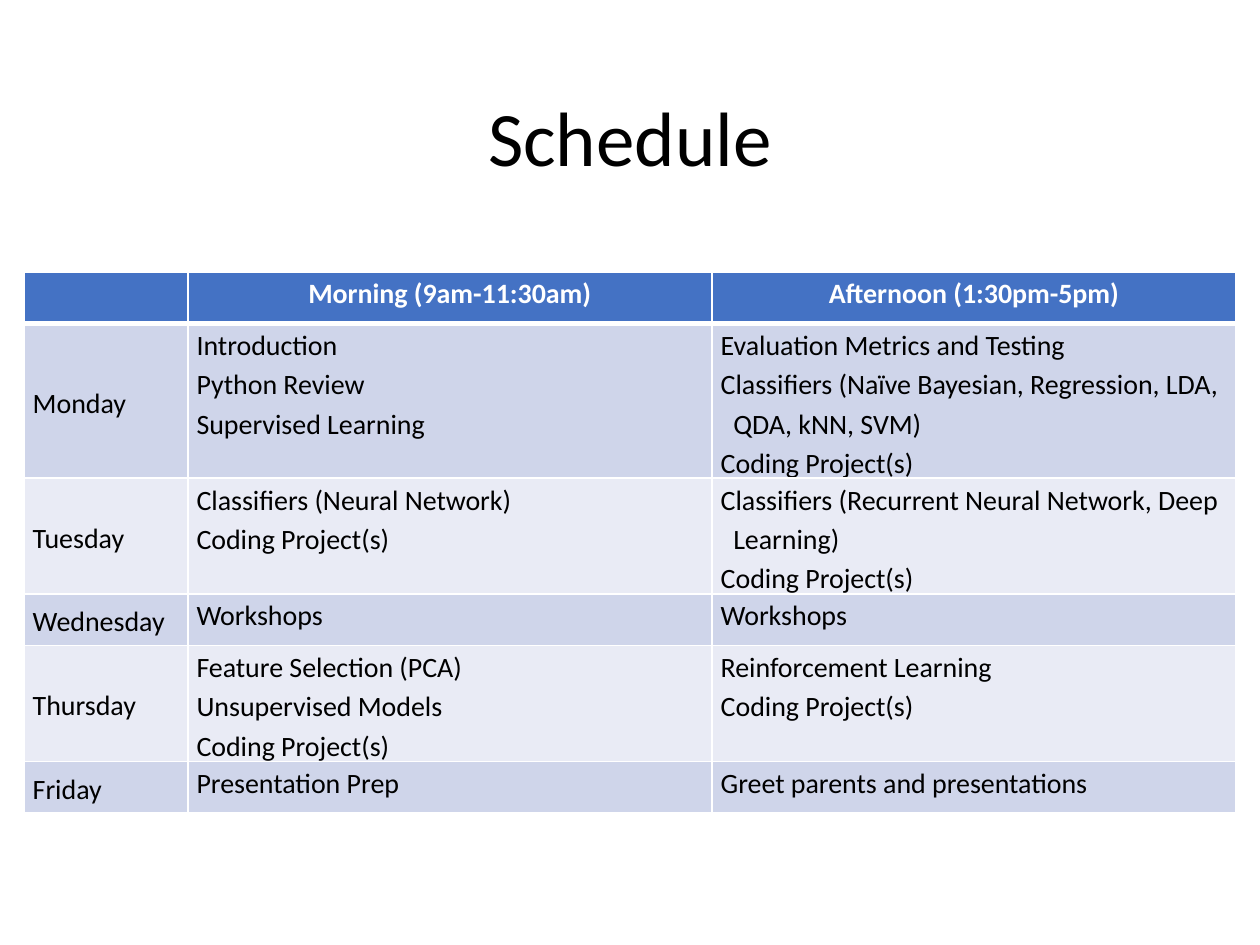
import pptx
import pptx.util
import pptx.dml.color
import pptx.enum.text
import pptx.oxml
import pptx.oxml.ns

Inches = pptx.util.Inches
Pt = pptx.util.Pt
ALIGN = pptx.enum.text.PP_ALIGN
ANCHOR = pptx.enum.text.MSO_ANCHOR

HEADS = ["", "Morning (9am-11:30am)", "Afternoon (1:30pm-5pm)"]
DAYS = [
    ("Monday",
     ["Introduction", "Python Review", "Supervised Learning"],
     ["Evaluation Metrics and Testing",
      "Classifiers (Naïve Bayesian, Regression, LDA, QDA, kNN, SVM)",
      "Coding Project(s)"]),
    ("Tuesday",
     ["Classifiers (Neural Network)", "Coding Project(s)"],
     ["Classifiers (Recurrent Neural Network, Deep Learning)",
      "Coding Project(s)"]),
    ("Wednesday", ["Workshops"], ["Workshops"]),
    ("Thursday",
     ["Feature Selection (PCA)", "Unsupervised Models", "Coding Project(s)"],
     ["Reinforcement Learning", "Coding Project(s)"]),
    ("Friday", ["Presentation Prep"], ["Greet parents and presentations"]),
]
WIDTHS = [1.3, 4.16, 4.16]
ROW = 0.41
BANDS = ["CFD5EA", "E9EBF5"]


def color(code):
    """Turn a hex string into a colour."""
    return pptx.dml.color.RGBColor.from_string(code)


def write(frame, lines, size, ink, align, space, bold=False, hang=0):
    """Write one styled paragraph for each line."""
    for i, line in enumerate(lines):
        para = frame.add_paragraph() if i else frame.paragraphs[0]
        para.text = line
        para.alignment = align
        para.line_spacing = space
        font = para.font
        font.name, font.size, font.bold = "Calibri", Pt(size), bold
        font.color.rgb = color(ink)
        if hang:
            props = para._p.get_or_add_pPr()
            props.set("marL", str(Inches(hang)))
            props.set("indent", str(-Inches(hang)))


def edge(cell, base):
    """Draw white borders round a cell, the bottom one base points wide."""
    props = cell._tc.get_or_add_tcPr()
    for i, (side, width) in enumerate(zip("LRTB", [1, 1, 1, base])):
        props.insert(i, pptx.oxml.parse_xml(
            f'<a:ln{side} {pptx.oxml.ns.nsdecls("a")} w="{Pt(width)}">'
            '<a:solidFill><a:srgbClr val="FFFFFF"/></a:solidFill>'
            f'</a:ln{side}>'))


def dress(cell, fill, anchor, base=1):
    """Set the fill, margins, anchor and borders of a cell."""
    cell.fill.solid()
    cell.fill.fore_color.rgb = color(fill)
    cell.margin_left = cell.margin_right = Inches(0.07)
    cell.margin_top = cell.margin_bottom = 0
    cell.vertical_anchor = anchor
    edge(cell, base)


def add_title(slide, text):
    """Add the slide title."""
    box = slide.shapes.add_textbox(
        Inches(0.69), Inches(0.4), Inches(8.62), Inches(1.45))
    frame = box.text_frame
    frame.word_wrap = True
    frame.vertical_anchor = ANCHOR.MIDDLE
    write(frame, [text], 44, "000000", ALIGN.CENTER, 0.9)


def add_plan(slide):
    """Add the table of the week."""
    count = len(DAYS) + 1
    table = slide.shapes.add_table(
        count, len(WIDTHS), Inches(0.19), Inches(2.16),
        Inches(sum(WIDTHS)), Inches(ROW * count)).table
    for col, width in zip(table.columns, WIDTHS):
        col.width = Inches(width)
    for row in table.rows:
        row.height = Inches(ROW)
    for c, head in enumerate(HEADS):
        cell = table.cell(0, c)
        dress(cell, "4472C4", ANCHOR.TOP, 3)
        write(cell.text_frame, [head], 16, "FFFFFF", ALIGN.CENTER, 1.15, True)
    for r, (day, early, late) in enumerate(DAYS):
        for c, lines in enumerate([[day], early, late]):
            cell = table.cell(r + 1, c)
            dress(cell, BANDS[r % 2], ANCHOR.TOP if c else ANCHOR.MIDDLE)
            write(cell.text_frame, lines, 16, "000000", ALIGN.LEFT, 1.15,
                  hang=0.1 if c == 2 else 0)


def main():
    """Build and save the slide."""
    deck = pptx.Presentation()
    deck.slide_width, deck.slide_height = Inches(10), Inches(7.5)
    slide = deck.slides.add_slide(deck.slide_layouts[6])
    add_title(slide, "Schedule")
    add_plan(slide)
    deck.save("out.pptx")


if __name__ == "__main__":
    main()
